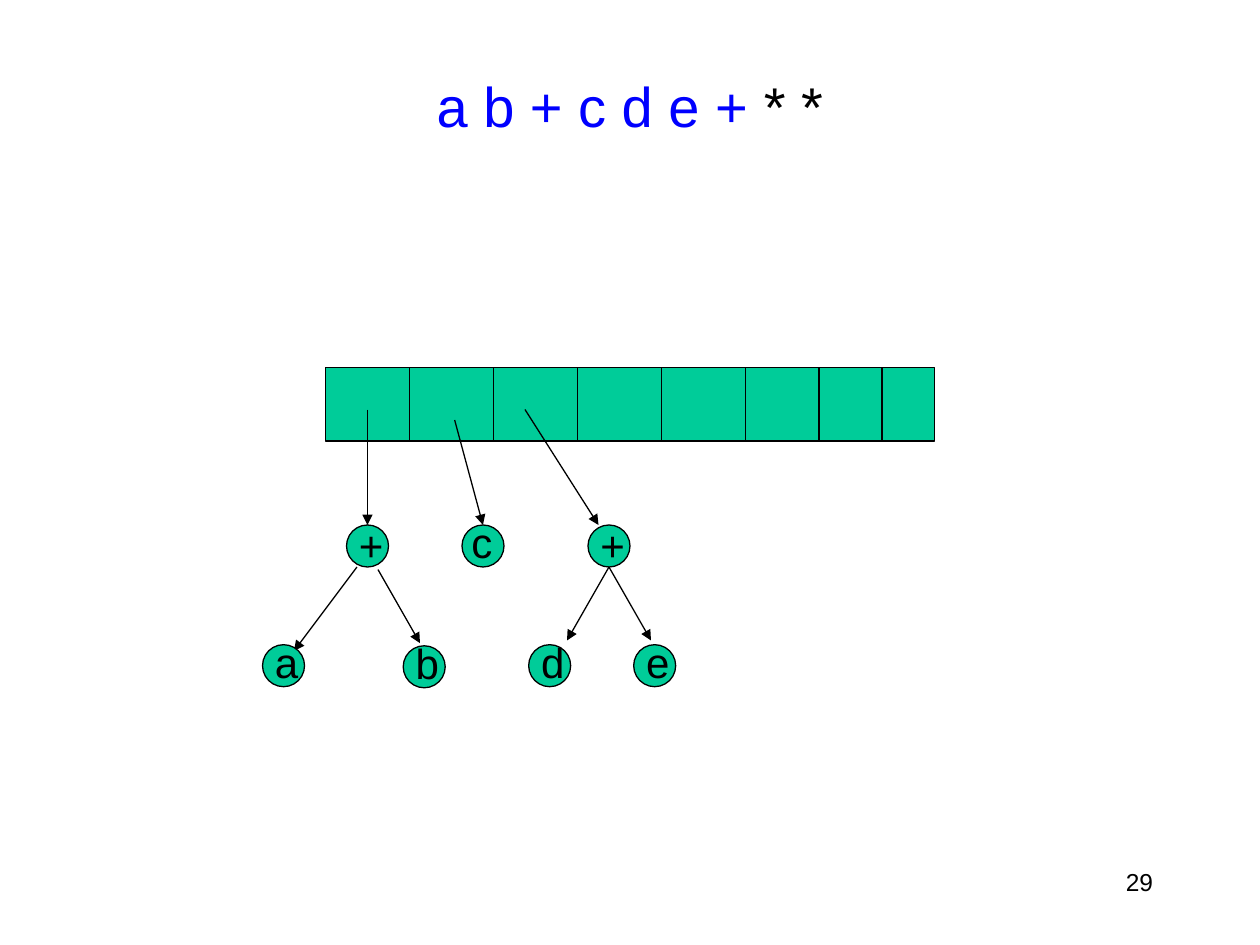
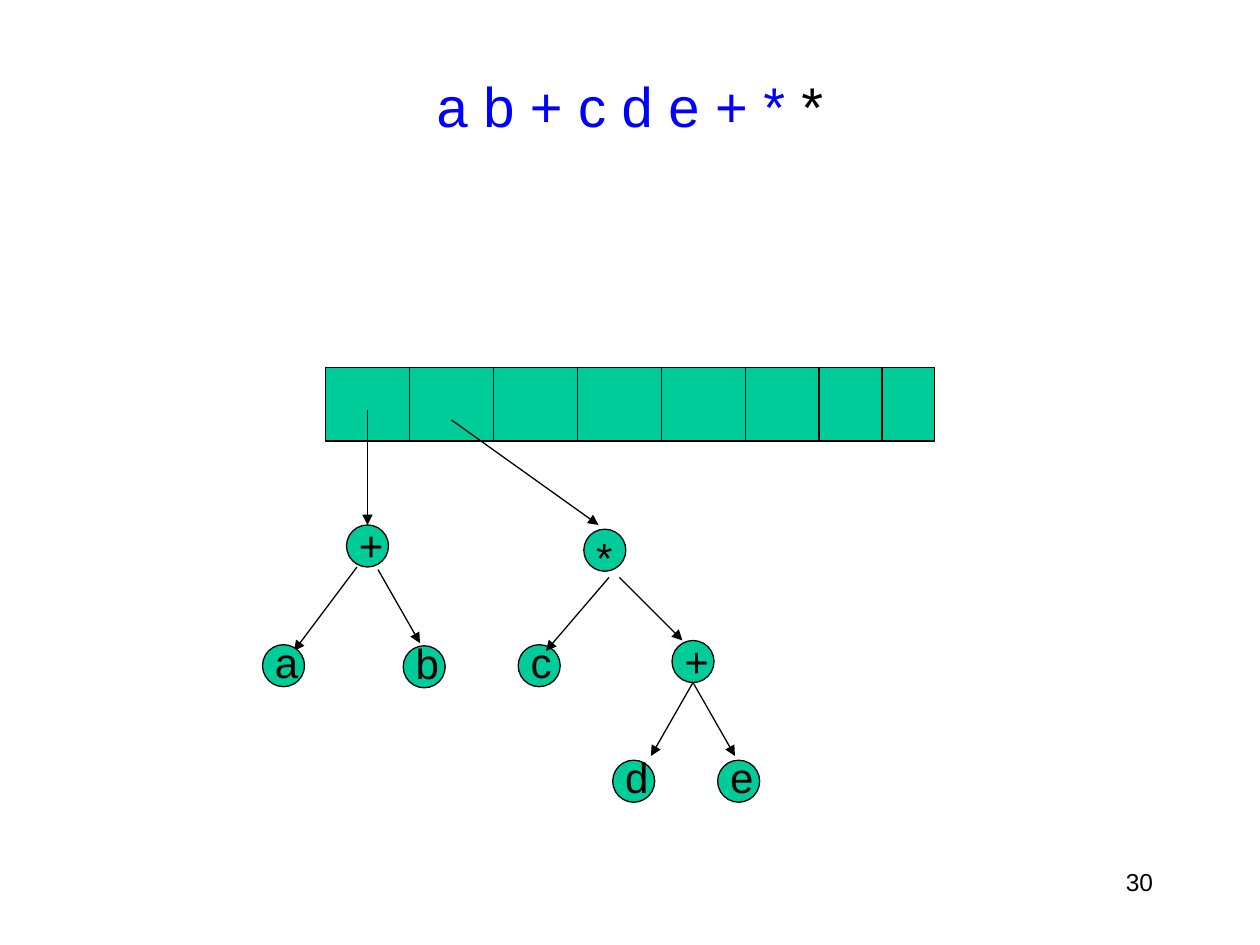
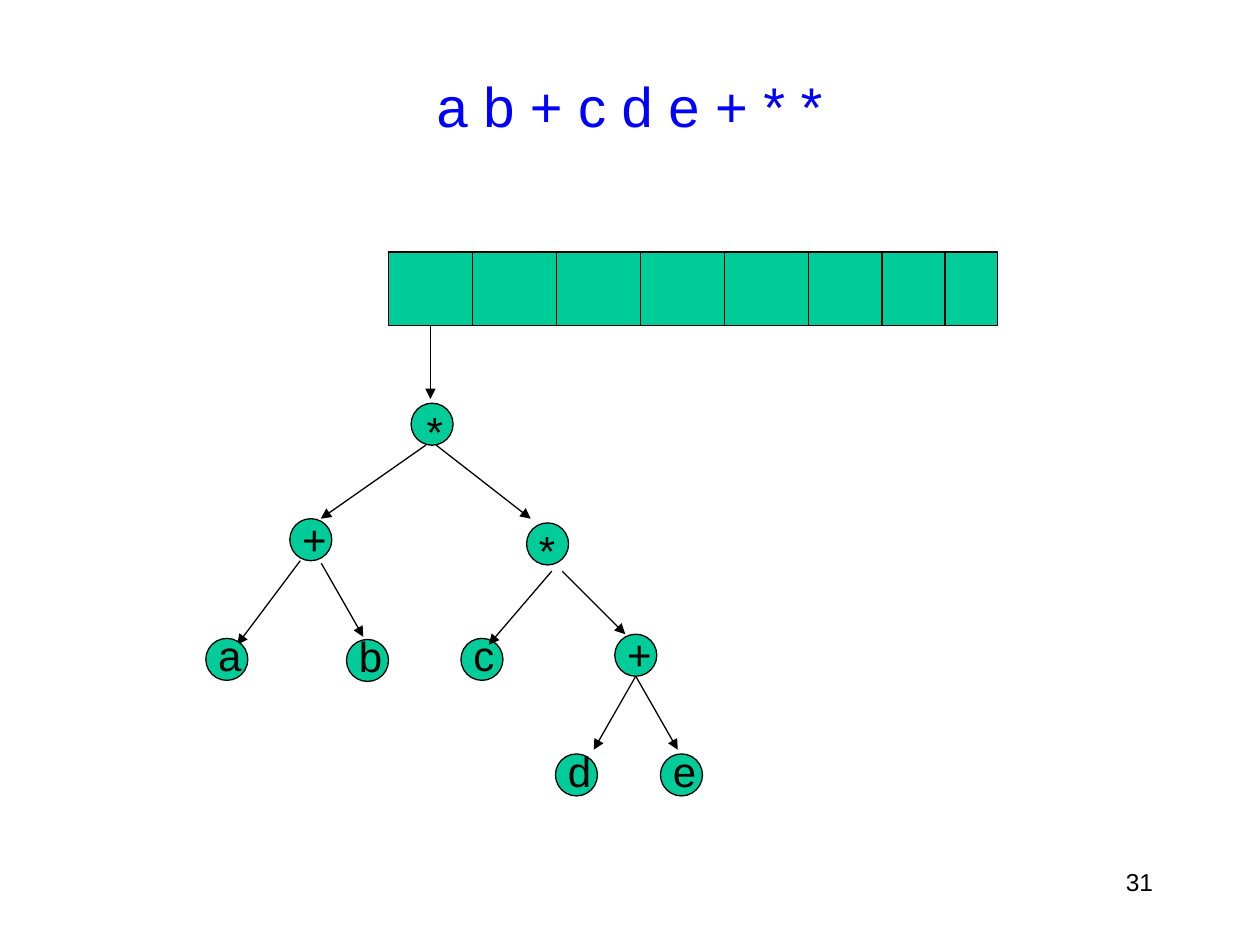
from pptx import Presentation
from pptx.dml.color import RGBColor
from pptx.enum.shapes import MSO_CONNECTOR, MSO_SHAPE
from pptx.enum.text import MSO_ANCHOR, MSO_AUTO_SIZE, PP_ALIGN
from pptx.oxml.ns import qn
from pptx.util import Inches, Pt
from lxml import etree

STRAIGHT = MSO_CONNECTOR.STRAIGHT
RECT, OVAL = MSO_SHAPE.RECTANGLE, MSO_SHAPE.OVAL
MIDDLE, TOP = MSO_ANCHOR.MIDDLE, MSO_ANCHOR.TOP
LEFT, CENTER, RIGHT = PP_ALIGN.LEFT, PP_ALIGN.CENTER, PP_ALIGN.RIGHT

# The slide is a grid of 120 columns by 90 rows; all lengths are in cells.
WIDTH, HEIGHT = Inches(10), Inches(7.5)
CELL = WIDTH // 120
FONT = "Arial"
GREEN, BLACK, BLUE = "00CC99", "000000", "0000FF"

TITLE_BOX = (9, 5, 102, 10)
NUMBER_BOX = (86, 82, 25, 6)
STACK_SIZE = (58, 7)
DIVIDERS = (8, 16, 24, 32, 40, 47, 53)
NODE = 4
LABEL_HEIGHT = 6
LABEL_WIDTHS = {"+": 4.8, "*": 4, "c": 4.4}
LABEL_RISES = {"+": -1.1, "*": -0.4}


def color(hex_string):
    """Turn a hex string into a colour."""
    return RGBColor.from_string(hex_string)


def cells(*lengths):
    """Turn grid cells into slide lengths."""
    return [round(n * CELL) for n in lengths]


def add_text(slide, box, runs, size, align=LEFT, anchor=TOP, wrap=True):
    """Place one paragraph of (text, colour) runs in a box."""
    sp = slide.shapes.add_textbox(*cells(*box))
    tf = sp.text_frame
    tf.word_wrap = wrap
    tf.vertical_anchor = anchor
    if not wrap:
        tf.auto_size = MSO_AUTO_SIZE.SHAPE_TO_FIT_TEXT
    p = tf.paragraphs[0]
    p.alignment = align
    p.font.name, p.font.size = FONT, Pt(size)
    for text, hex_string in runs:
        r = p.add_run()
        r.text = text
        r.font.color.rgb = color(hex_string)


def add_outlined(slide, kind, box):
    """Place a green shape with a thin black outline."""
    sp = slide.shapes.add_shape(kind, *cells(*box))
    sp.shadow.inherit = False
    sp.fill.solid()
    sp.fill.fore_color.rgb = color(GREEN)
    sp.line.color.rgb = color(BLACK)
    sp.line.width = Pt(0.75)


def add_line(slide, start, end, arrow=False):
    """Draw a thin black line, with an arrowhead at its end if asked."""
    line = slide.shapes.add_connector(STRAIGHT, *cells(*start, *end))
    line.line.color.rgb = color(BLACK)
    line.line.width = Pt(0.75)
    if arrow:
        etree.SubElement(line.line._get_or_add_ln(), qn("a:tailEnd"), type="triangle")
    etree.SubElement(line._element.spPr, qn("a:effectLst"))


def add_arrows(slide, origin, *arrows):
    """Draw (x1, y1, x2, y2) arrows relative to an origin."""
    x, y = origin
    for x1, y1, x2, y2 in arrows:
        add_line(slide, (x + x1, y + y1), (x + x2, y + y2), arrow=True)


def add_node(slide, origin, symbol, shift=0):
    """Draw a tree node, its label moved sideways by shift."""
    x, y = origin
    add_outlined(slide, OVAL, (x, y, NODE, NODE))
    box = (x + shift, y + LABEL_RISES.get(symbol, -1.4),
           LABEL_WIDTHS.get(symbol, 4.7), LABEL_HEIGHT)
    add_text(slide, box, [(symbol, BLACK)], 24, wrap=False)


def add_sum_ab(slide, origin):
    """Draw the tree of a + b with its root at origin."""
    x, y = origin
    add_arrows(slide, origin, (1, 4, -5, 12))
    add_node(slide, origin, "+")
    add_node(slide, (x - 8, y + 11.4), "a")
    add_node(slide, (x + 5.4, y + 11.5), "b")
    add_arrows(slide, origin, (3, 4.25, 7, 11.25))


def add_sum_de(slide, origin):
    """Draw the tree of d + e with its root at origin."""
    x, y = origin
    add_node(slide, (x - 5.65, y + 11.4), "d")
    add_node(slide, (x + 4.35, y + 11.4), "e")
    add_node(slide, origin, "+")
    add_arrows(slide, origin, (2, 4, 6, 11), (2, 4, -2, 11))


def add_product(slide, origin):
    """Draw the tree of c * (d + e) with its root at origin."""
    x, y = origin
    add_node(slide, (x - 6.25, y + 11), "c")
    add_sum_de(slide, (x + 8.4, y + 10.6))
    add_node(slide, origin, "*")
    add_arrows(slide, origin, (2.4, 4.6, -3.6, 11.6), (3.4, 4.6, 9.4, 10.6))


def add_stack(slide, origin):
    """Draw the stack as a bar cut by dividers."""
    x, y = origin
    width, height = STACK_SIZE
    add_outlined(slide, RECT, (x, y, width, height))
    for offset in DIVIDERS:
        add_line(slide, (x + offset, y), (x + offset, y + height))


def add_frame(prs, number, read, unread, stack):
    """Start a slide with its number, postfix title and stack."""
    slide = prs.slides.add_slide(prs.slide_layouts[6])
    add_text(slide, NUMBER_BOX, [(str(number), BLACK)], 14, RIGHT)
    runs = [(text, hue) for text, hue in ((read, BLUE), (unread, BLACK)) if text]
    add_text(slide, TITLE_BOX, runs, 32, CENTER, MIDDLE)
    add_stack(slide, stack)
    return slide


def add_three_trees(prs):
    """Stack holding a + b, c and d + e."""
    stack = (31, 35)
    slide = add_frame(prs, 29, "a b + c d e +", " * *", stack)
    add_sum_ab(slide, (33, 50))
    add_node(slide, (44, 50), "c", shift=-0.3)
    add_sum_de(slide, (56, 50))
    add_arrows(slide, stack, (4, 4, 4, 15), (12.3, 5, 15, 15), (19, 4, 26, 15))


def add_two_trees(prs):
    """Stack holding a + b and c * (d + e)."""
    stack = (31, 35)
    slide = add_frame(prs, 30, "a b + c d e + *", " *", stack)
    add_sum_ab(slide, (33, 50))
    add_product(slide, (55.6, 50.4))
    add_arrows(slide, stack, (4, 4, 4, 15), (12, 5, 26, 15))


def add_one_tree(prs):
    """Stack holding the whole expression tree."""
    stack, root = (37, 24), (39.15, 38.4)
    slide = add_frame(prs, 31, "a b + c d e + * *", "", stack)
    add_sum_ab(slide, (27.6, 49.4))
    add_product(slide, (50.15, 49.8))
    add_node(slide, root, "*", shift=0.3)
    add_arrows(slide, root, (1.4, 4, -8.6, 11), (2.4, 4, 11.4, 11))
    add_arrows(slide, stack, (4, 7, 4, 14))


prs = Presentation()
prs.slide_width, prs.slide_height = WIDTH, HEIGHT
add_three_trees(prs)
add_two_trees(prs)
add_one_tree(prs)
prs.save("out.pptx")
